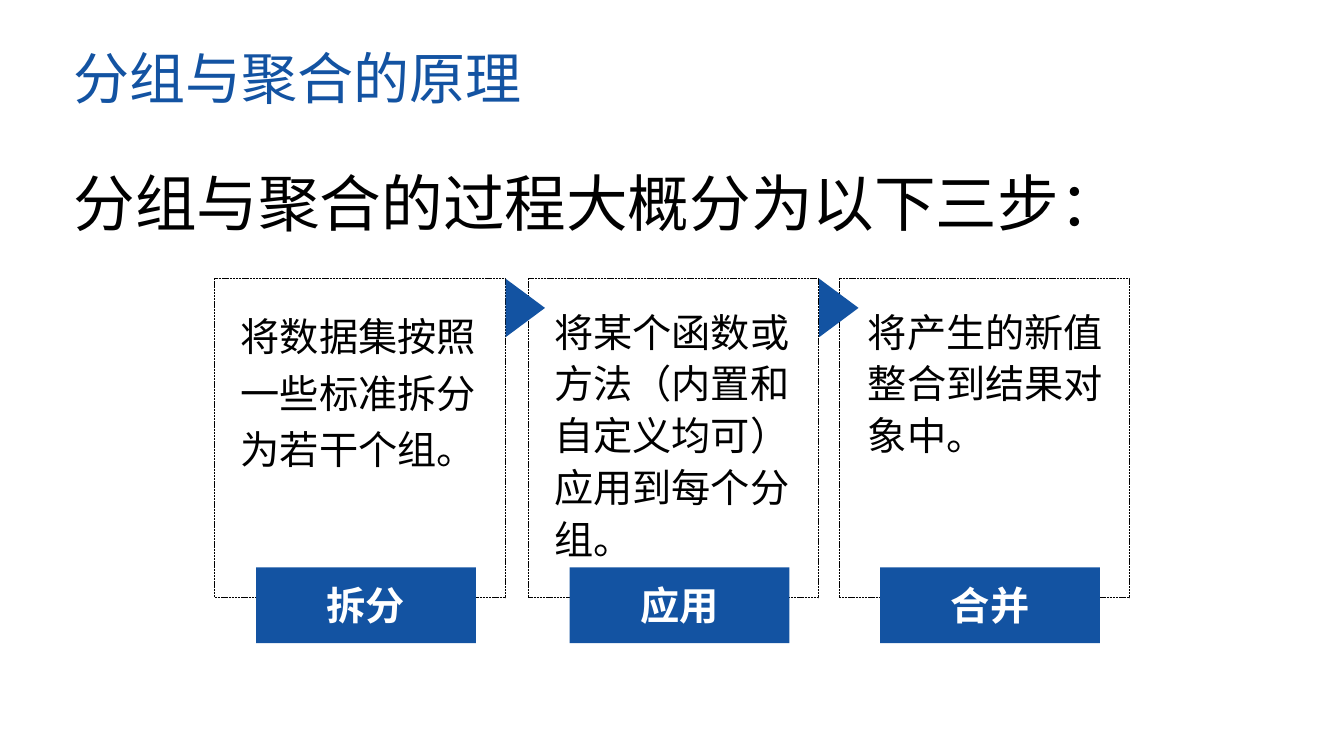
from dataclasses import dataclass

import pptx
import pptx.dml.color
import pptx.enum.dml
import pptx.enum.shapes
import pptx.enum.text
import pptx.oxml.ns
import pptx.util
from lxml import etree

Inches = pptx.util.Inches
Shapes = pptx.enum.shapes.MSO_SHAPE


@dataclass(frozen=True)
class Theme:
    blue: str = "1353A2"
    black: str = "000000"
    white: str = "FFFFFF"
    font: str = "Noto Sans CJK SC"
    latin: str = "Calibri"
    title: int = 40
    lead: int = 44
    body: int = 28
    border: float = 0.5


@dataclass(frozen=True)
class Step:
    left: float
    label: str
    detail: str
    font: str
    spacing: float
    indent: float
    height: float


THEME = Theme()
STEPS = [
    Step(2.13, "拆分", "将数据集按照一些标准拆分为若干个组。", THEME.latin, 1.2, 0.16, 1.72),
    Step(5.24, "应用", "将某个函数或方法（内置和自定义均可）应用到每个分组。", THEME.font, 1.1, 0.16, 2.69),
    Step(8.32, "合并", "将产生的新值整合到结果对象中。", THEME.latin, 1.1, 0.19, 1.66),
]
CARD_TOP, CARD_WIDTH, CARD_HEIGHT = 2.76, 2.88, 3.17


def rgb(color):
    return pptx.dml.color.RGBColor.from_string(color)


def write(frame, text, size, color, font=THEME.font, spacing=None, bold=None):
    frame.word_wrap = True
    paragraph = frame.paragraphs[0]
    paragraph.text = text
    paragraph.line_spacing = spacing
    paragraph.font.name = font
    paragraph.font.size = pptx.util.Pt(size)
    paragraph.font.bold = bold
    paragraph.font.color.rgb = rgb(color)
    properties = paragraph._p.pPr.find(pptx.oxml.ns.qn("a:defRPr"))
    latin = properties.find(pptx.oxml.ns.qn("a:latin"))
    east_asian = etree.Element(pptx.oxml.ns.qn("a:ea"), typeface=THEME.font)
    latin.addnext(east_asian)
    return paragraph


def add_text(slide, box, text, size, color, **style):
    words = slide.shapes.add_textbox(*map(Inches, box))
    write(words.text_frame, text, size, color, **style)


def add_block(slide, kind, box):
    block = slide.shapes.add_shape(kind, *map(Inches, box))
    block.shadow.inherit = False
    block.fill.solid()
    block.fill.fore_color.rgb = rgb(THEME.blue)
    block.line.fill.background()
    return block


def add_heading(slide, left, top):
    add_text(slide, (left, top, 5.88, 0.77), "分组与聚合的原理", THEME.title, THEME.blue)
    add_text(slide, (left, top + 1.06, 12.02, 0.91), "分组与聚合的过程大概分为以下三步：",
             THEME.lead, THEME.black, spacing=1.2)


def add_step(slide, step, left, top, width, height):
    frame = slide.shapes.add_shape(Shapes.RECTANGLE, *map(Inches, (left, top, width, height)))
    frame.shadow.inherit = False
    frame.fill.background()
    frame.line.color.rgb = rgb(THEME.black)
    frame.line.width = pptx.util.Pt(THEME.border)
    frame.line.dash_style = pptx.enum.dml.MSO_LINE.SQUARE_DOT

    label = add_block(slide, Shapes.RECTANGLE, (left + 0.41, top + height - 0.3, 2.18, 0.75))
    label.text_frame.vertical_anchor = pptx.enum.text.MSO_ANCHOR.MIDDLE
    caption = write(label.text_frame, step.label, THEME.body, THEME.white, bold=True)
    caption.alignment = pptx.enum.text.PP_ALIGN.CENTER

    add_text(slide, (left + step.indent, top + 0.2, width, step.height), step.detail,
             THEME.body, THEME.black, font=step.font, spacing=step.spacing)


def add_arrow(slide, card_right, card_top):
    arrow = add_block(slide, Shapes.FLOWCHART_EXTRACT,
                      (card_right - 0.09, card_top + 0.1, 0.58, 0.39))
    arrow.rotation = 90


def main():
    presentation = pptx.Presentation()
    presentation.slide_width = Inches(13.33)
    presentation.slide_height = Inches(7.5)
    slide = presentation.slides.add_slide(presentation.slide_layouts[6])

    add_heading(slide, 0.63, 0.38)
    for step in STEPS:
        add_step(slide, step, step.left, CARD_TOP, CARD_WIDTH, CARD_HEIGHT)
    for step in STEPS[:-1]:
        add_arrow(slide, step.left + CARD_WIDTH, CARD_TOP)

    presentation.save("out.pptx")


if __name__ == "__main__":
    main()
